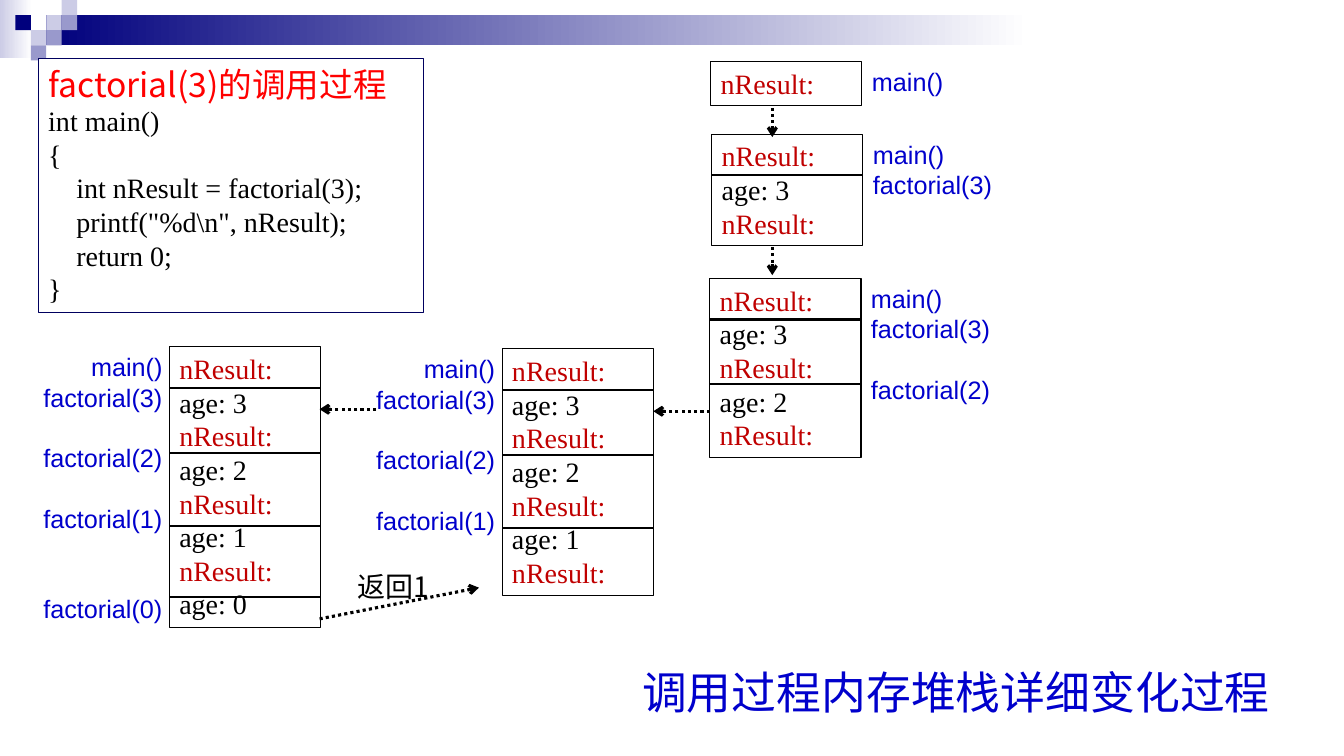
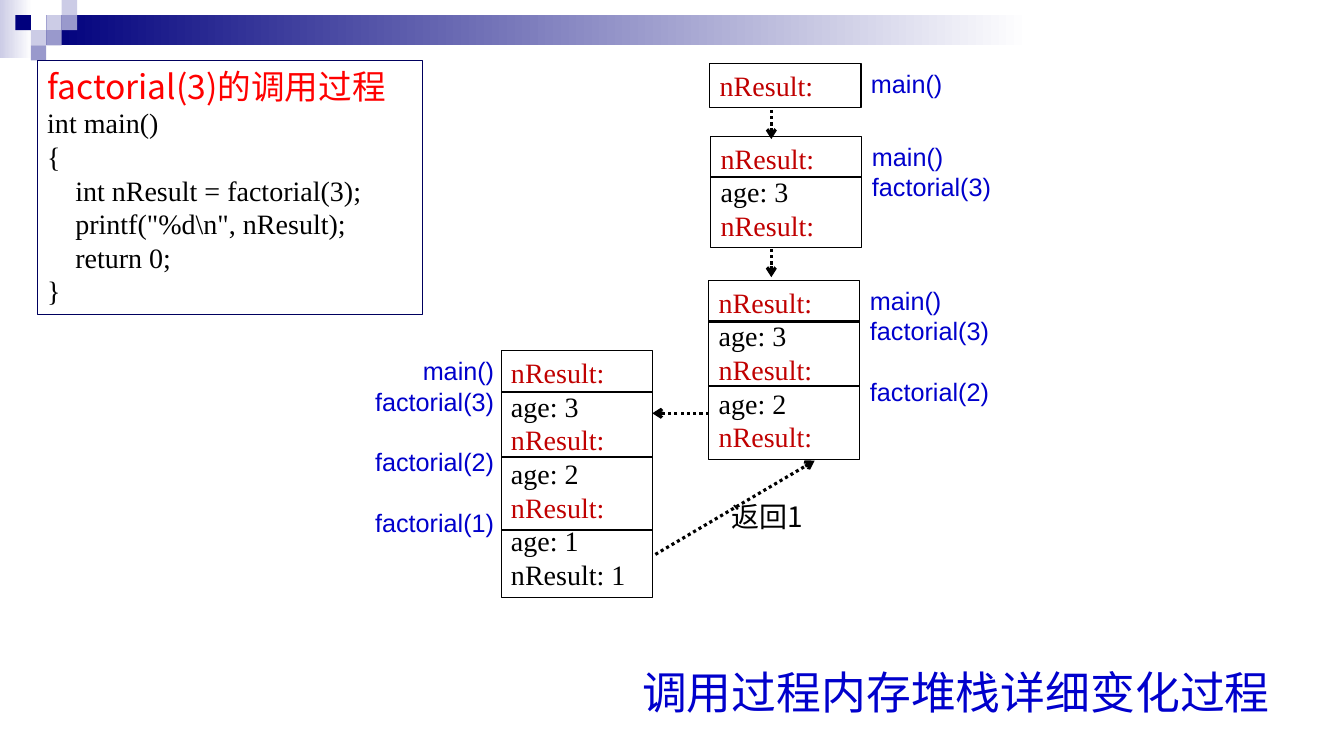
import lxml.etree
import pptx
import pptx.dml.color
import pptx.enum.dml
import pptx.enum.shapes
import pptx.enum.text
import pptx.oxml.ns
import pptx.util


class Theme:
    navy, outline, blue = "00007D", "00005E", "0000CC"
    lilac, violet, white = "CCCCE6", "9999CC", "FFFFFF"
    black, red, dark_red = "000000", "FF0000", "C00000"
    label_font, code_font, chinese_font = "Arial", "Times New Roman", "Noto Sans CJK SC"
    label_size, code_size, heading_size, title_size = 18, 20, 24, 32
    leading = 1.2
    thin, divider, arrow = 0.75, 1.5, 2.25


CELL = pptx.util.Inches(0.1)
RECTANGLE = pptx.enum.shapes.MSO_SHAPE.RECTANGLE
ALIGN = pptx.enum.text.PP_ALIGN
rgb = pptx.dml.color.RGBColor.from_string
qn = pptx.oxml.ns.qn


def write_text(slide, lines, at, *, font, size, color, align=ALIGN.LEFT, outline=None, fill=None, wrap=True):
    place = [round(length * CELL) for length in at]
    if outline:
        holder = slide.shapes.add_shape(RECTANGLE, *place)
        holder.shadow.inherit = False
        holder.line.color.rgb = rgb(outline)
        holder.line.width = pptx.util.Pt(Theme.thin)
    else:
        holder = slide.shapes.add_textbox(*place)
    if fill:
        holder.fill.solid()
        holder.fill.fore_color.rgb = rgb(fill)
    else:
        holder.fill.background()
    frame = holder.text_frame
    frame.word_wrap = wrap
    frame.vertical_anchor = pptx.enum.text.MSO_ANCHOR.TOP
    for index, (text, changes) in enumerate(lines):
        style = {"font": font, "size": size, "color": color, "gap": 0, "indent": 0} | changes
        paragraph = frame.add_paragraph() if index else frame.paragraphs[0]
        paragraph.alignment = align
        paragraph.line_spacing = pptx.util.Pt(style["size"] * Theme.leading)
        paragraph.space_before = pptx.util.Pt(style["gap"] * style["size"] * Theme.leading)
        paragraph._p.get_or_add_pPr().set("marL", str(pptx.util.Pt(style["indent"])))
        run = paragraph.add_run()
        run.text = text
        run.font.size = pptx.util.Pt(style["size"])
        run.font.color.rgb = rgb(style["color"])
        run.font.name = style["font"]
        east_asian = lxml.etree.SubElement(run._r.get_or_add_rPr(), qn("a:ea"))
        east_asian.set("typeface", style["font"])


def draw_line(slide, x1, y1, x2, y2, arrow=False):
    ends = [round(length * CELL) for length in (x1, y1, x2, y2)]
    rule = slide.shapes.add_connector(pptx.enum.shapes.MSO_CONNECTOR.STRAIGHT, *ends)
    rule.line.color.rgb = rgb(Theme.black)
    rule.line.width = pptx.util.Pt(Theme.arrow if arrow else Theme.divider)
    if arrow:
        rule.line.dash_style = pptx.enum.dml.MSO_LINE.ROUND_DOT
        lxml.etree.SubElement(rule.line._get_or_add_ln(), qn("a:tailEnd")).set("type", "arrow")
    lxml.etree.SubElement(rule._element.spPr, qn("a:effectLst"))


deck = pptx.Presentation()
deck.slide_width = pptx.util.Inches(13.33)
deck.slide_height = pptx.util.Inches(7.5)
blank = deck.slide_layouts[6]
slides = [deck.slides.add_slide(blank) for _ in range(2)]

TILE = 1.53
band_parts = [
    (0, 0, 3.2, 5.8, [Theme.lilac, Theme.white]),
    (3 * TILE, 1.5, 97.5, 3, [Theme.navy, Theme.white]),
]
for column, row, color in [
    (3, 1, Theme.lilac), (4, 0, Theme.lilac), (4, 1, Theme.violet), (2, 2, Theme.lilac),
    (1, 1, Theme.navy), (3, 2, Theme.violet), (2, 3, Theme.violet),
]:
    band_parts.append((column * TILE, row * 1.5, TILE, 1.5, [color]))
for *at, colors in band_parts:
    part = slides[0].shapes.add_shape(RECTANGLE, *[round(length * CELL) for length in at])
    part.shadow.inherit = False
    part.line.fill.background()
    if len(colors) == 1:
        part.fill.solid()
        part.fill.fore_color.rgb = rgb(colors[0])
    else:
        part.fill.gradient()
        part.fill.gradient_angle = 0
        for stop, color in zip(part.fill.gradient_stops, colors):
            stop.color.rgb = rgb(color)
    deck.slide_master.shapes.element.append(part._element)

code = [
    ("factorial(3)的调用过程", {"font": Theme.chinese_font, "size": Theme.heading_size, "color": Theme.red}),
    ("int main()", {}),
    ("{", {}),
    ("int nResult = factorial(3);", {"indent": 20}),
    ('printf("%d\\n", nResult);', {"indent": 20}),
    ("return 0;", {"indent": 20}),
    ("}", {}),
]
calls = [
    ("main()", {}), ("factorial(3)", {}), ("factorial(2)", {"gap": 1}),
    ("factorial(1)", {"gap": 1}), ("factorial(0)", {"gap": 2}),
]
pending = ("nResult:", {"color": Theme.dark_red})
variables = [pending]
for age in (3, 2, 1):
    variables += [(f"age: {age}", {}), pending]
variables.append(("age: 0", {}))

STACK_WIDTH, LINE_HEIGHT = 15, 3.36
divider_rows = [4.1, 10.5, 17.8, 24.8]
stacks = [
    (70.5, 6.1, 1, "right"),
    (70.6, 13.3, 2, "right"),
    (70.4, 27.6, 3, "right"),
    (49.8, 34.6, 4, "left"),
    (16.8, 34.4, 5, "left"),
]
call_arrows = [
    (76.6, 10.7, 76.6, 13.6), (76.6, 24.5, 76.6, 27.3),
    (70.4, 40.8, 64.8, 40.8), (37.3, 40.6, 31.7, 40.6),
]
stages = [
    {"depth": 5, "shift": (0, 0), "arrow": (31.7, 61.4, 47.5, 58.3), "note": (34.5, 56), "returned": False},
    {"depth": 4, "shift": (-0.1, 0.2), "arrow": (65.1, 54.8, 80.9, 45.5), "note": (71.7, 48.9), "returned": True},
]

for slide, stage in zip(slides, stages):
    dx, dy = stage["shift"]
    depth = stage["depth"]
    write_text(slide, code, (3.8 + dx, 5.8 + dy, 38.2, 25.2), font=Theme.code_font, size=Theme.code_size,
               color=Theme.black, outline=Theme.outline, fill=Theme.white)

    for left, top, level, side in stacks[:depth]:
        left, top = left + dx, top + dy
        contents = variables[:2 * level - 1]
        if stage["returned"] and level == depth:
            contents = contents[:-1] + [("nResult: 1", {})]
        write_text(slide, contents, (left, top, STACK_WIDTH, len(contents) * LINE_HEIGHT + 1),
                   font=Theme.code_font, size=Theme.code_size, color=Theme.black, outline=Theme.black)
        on_right = side == "right"
        label_left, label_width = (left + STACK_WIDTH, 18.1) if on_right else (left - 15.7, 16)
        write_text(slide, calls[:level], (label_left, top, label_width, level * 6), font=Theme.label_font,
                   size=Theme.label_size, color=Theme.blue, align=ALIGN.LEFT if on_right else ALIGN.RIGHT)
        for row in divider_rows[:level - 1]:
            draw_line(slide, left, top + row, left + STACK_WIDTH, top + row)

    for x1, y1, x2, y2 in call_arrows[:depth - 1] + [stage["arrow"]]:
        draw_line(slide, x1 + dx, y1 + dy, x2 + dx, y2 + dy, arrow=True)

    note_left, note_top = stage["note"]
    write_text(slide, [("返回1", {})], (note_left + dx, note_top + dy, 10.2, 4.4),
               font=Theme.chinese_font, size=Theme.code_size, color=Theme.black)
    write_text(slide, [("调用过程内存堆栈详细变化过程", {})], (62.7, 65.5, 64.8, 6.4),
               font=Theme.chinese_font, size=Theme.title_size, color=Theme.blue, wrap=False)

deck.save("out.pptx")
